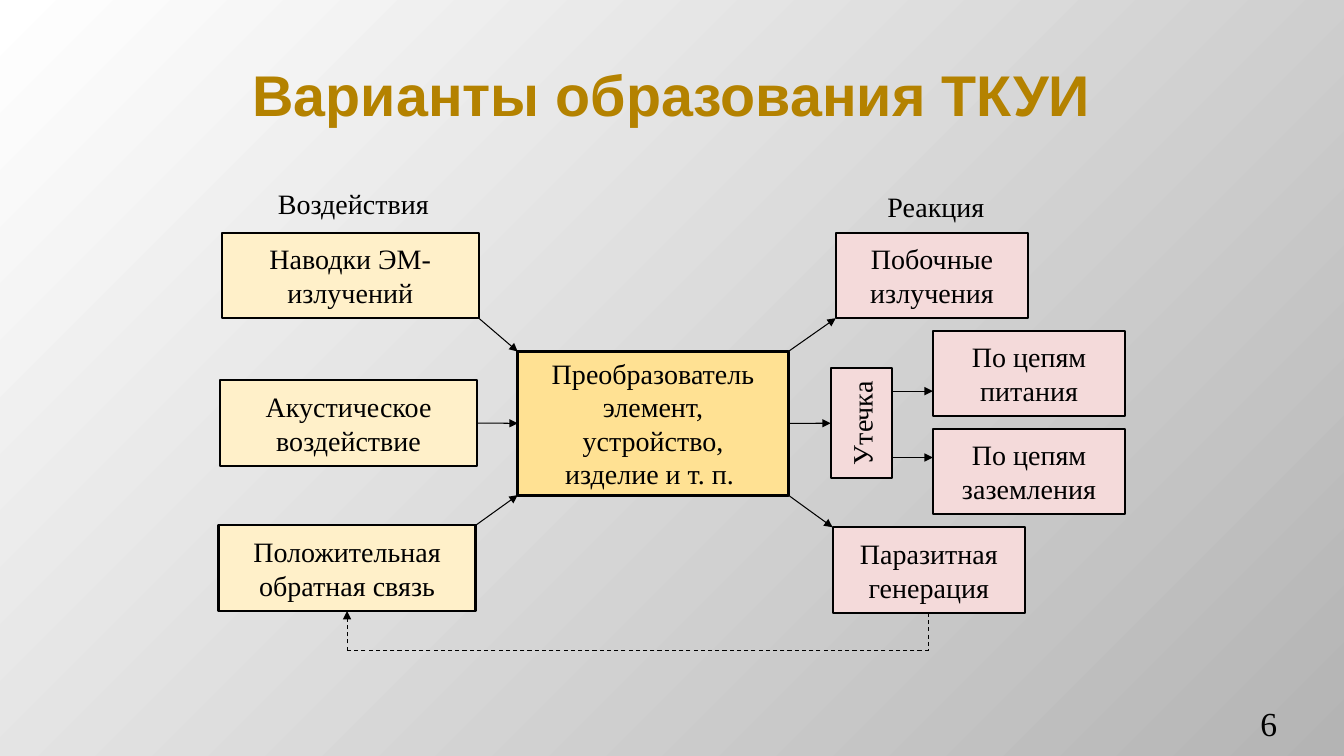
from dataclasses import dataclass

from lxml.etree import SubElement
from pptx import Presentation
from pptx.dml.color import RGBColor
from pptx.enum.dml import MSO_LINE
from pptx.enum.shapes import MSO_CONNECTOR, MSO_SHAPE
from pptx.enum.text import MSO_ANCHOR, PP_ALIGN
from pptx.oxml.ns import qn
from pptx.util import Pt


@dataclass(frozen=True)
class Theme:
    title_font: str = "Arial"
    body_font: str = "Times New Roman"
    title_size: float = 41
    number_size: float = 24
    body_size: float = 20
    title: str = "B48200"
    ink: str = "000000"
    influence: str = "FFF0C9"
    converter: str = "FFE193"
    reaction: str = "F4DADA"
    background: tuple = ("FFFFFF", "B4B4B4")
    box_line: float = 1.5
    converter_line: float = 2.25
    arrow_line: float = 0.75


THEME = Theme()

TITLE = "Варианты образования ТКУИ"
PAGE_NUMBER = "6"
HEADINGS = [("Воздействия", 160.6, 128.2, 34.6), ("Реакция", 576.7, 132.5, 30.2)]
HEADING_WIDTH = 183.6

BOX_HEIGHT = 61.2
INFLUENCE_SIZE = (183.6, BOX_HEIGHT)
REACTION_SIZE = (137.5, BOX_HEIGHT)

# name: (paragraphs, left, top)
INFLUENCES = {
    "pickup": (["Наводки ЭМ-излучений"], 158.4, 166.1),
    "acoustic": (["Акустическое воздействие"], 157.2, 271.6),
    "feedback": (["Положительная обратная связь"], 156.1, 375.3),
}
REACTIONS = {
    "emission": (["Побочные", "излучения"], 597, 166.1),
    "generation": (["Паразитная", "генерация"], 594.7, 376.6),
    "supply": (["По цепям", "питания"], 666.3, 236.2),
    "grounding": (["По цепям", "заземления"], 666.3, 306.2),
}
CONVERTER = ["Преобразователь", "элемент,", "устройство,", "изделие и т. п. "]
CONVERTER_AREA = (369.8, 251.1, 193.3, 102.6)
LEAK = ["Утечка"]
LEAK_AREA = (593.3, 262.9, 43.9, 78.8)
LEAK_ARROWS = {"supply": 279.4, "grounding": 326.8}
RETURN_TOP = 464.8

# Each end is a box and a place on its outline, as fractions of width and height.
ARROWS = [
    (("pickup", 1, 1), ("converter", 0, 0)),
    (("acoustic", 1, 0.5), ("converter", 0, 0.5)),
    (("feedback", 1, 0), ("converter", 0, 1)),
    (("converter", 1, 0), ("emission", 0, 1)),
    (("converter", 1, 0.5), ("leak", 0, 0.5)),
    (("converter", 1, 1), ("generation", 0, 0)),
]
SIDES = {(0.5, 0): 0, (0, 0.5): 1, (0.5, 1): 2, (1, 0.5): 3}


def color(value):
    return RGBColor.from_string(value)


def write(shape, lines, size=THEME.body_size, font=THEME.body_font, ink=THEME.ink,
          bold=False, align=PP_ALIGN.CENTER, anchor=MSO_ANCHOR.MIDDLE):
    frame = shape.text_frame
    frame.word_wrap = True
    frame.vertical_anchor = anchor
    for index, line in enumerate(lines):
        para = frame.add_paragraph() if index else frame.paragraphs[0]
        para.alignment = align
        span = para.add_run()
        span.text = line
        span.font.size = Pt(size)
        span.font.name = font
        span.font.bold = bold
        span.font.color.rgb = color(ink)


def add_label(page, area, lines, **style):
    box = page.shapes.add_textbox(*map(Pt, area))
    write(box, lines, **style)
    return box


def add_box(page, area, lines, fill, line_width=THEME.box_line):
    box = page.shapes.add_shape(MSO_SHAPE.RECTANGLE, *map(Pt, area))
    box.shadow.inherit = False
    box.fill.solid()
    box.fill.fore_color.rgb = color(fill)
    box.line.color.rgb = color(THEME.ink)
    box.line.width = Pt(line_width)
    write(box, lines)
    return box


def place(boxes, end):
    """Turn (box name, x fraction, y fraction) into a slide position."""
    name, across, down = end
    box = boxes[name]
    return box.left + int(box.width * across), box.top + int(box.height * down)


def add_link(page, start, finish, arrow=True, dashed=False):
    link = page.shapes.add_connector(MSO_CONNECTOR.STRAIGHT, *start, *finish)
    link.line.color.rgb = color(THEME.ink)
    link.line.width = Pt(THEME.arrow_line)
    if dashed:
        link.line.dash_style = MSO_LINE.DASH
    if arrow:
        SubElement(link.line._get_or_add_ln(), qn("a:tailEnd"), type="triangle")
    SubElement(link._element.spPr, qn("a:effectLst"))
    return link


def paint_background(page):
    fill = page.background.fill
    fill.gradient()
    fill.gradient_angle = 315
    for stop, value in zip(fill.gradient_stops, THEME.background):
        stop.color.rgb = color(value)


def add_boxes(page):
    boxes = {}
    for group, size, fill in ((INFLUENCES, INFLUENCE_SIZE, THEME.influence),
                              (REACTIONS, REACTION_SIZE, THEME.reaction)):
        for name, (lines, left, top) in group.items():
            boxes[name] = add_box(page, (left, top, *size), lines, fill)
    boxes["converter"] = add_box(page, CONVERTER_AREA, CONVERTER,
                                 THEME.converter, THEME.converter_line)
    leak = boxes["leak"] = add_box(page, LEAK_AREA, LEAK, THEME.reaction)
    leak.text_frame.margin_left = leak.text_frame.margin_right = Pt(3)
    leak.text_frame._txBody.bodyPr.set("vert", "vert270")
    return boxes


def add_arrows(page, boxes):
    for start, finish in ARROWS:
        link = add_link(page, place(boxes, start), place(boxes, finish))
        for end, connect in ((start, link.begin_connect), (finish, link.end_connect)):
            if end[1:] in SIDES:
                connect(boxes[end[0]], SIDES[end[1:]])

    leak_right = place(boxes, ("leak", 1, 0))[0]
    for name, top in LEAK_ARROWS.items():
        add_link(page, (leak_right, Pt(top)), (boxes[name].left, Pt(top)))


def add_return_path(page, boxes):
    source = place(boxes, ("generation", 0.5, 1))
    target = place(boxes, ("feedback", 0.5, 1))
    right_corner, left_corner = (source[0], Pt(RETURN_TOP)), (target[0], Pt(RETURN_TOP))
    down = add_link(page, source, right_corner, arrow=False, dashed=True)
    down.begin_connect(boxes["generation"], 2)
    add_link(page, right_corner, left_corner, arrow=False, dashed=True)
    up = add_link(page, left_corner, target, dashed=True)
    up.end_connect(boxes["feedback"], 2)


def main():
    deck = Presentation()
    deck.slide_width, deck.slide_height = Pt(960), Pt(540)
    page = deck.slides.add_slide(deck.slide_layouts[6])
    paint_background(page)

    add_label(page, (48, 21.6, 864, 90), [TITLE], size=THEME.title_size,
              font=THEME.title_font, ink=THEME.title, bold=True)
    number = add_label(page, (832.3, 505.4, 79.9, 28.8), [PAGE_NUMBER],
                       size=THEME.number_size, align=PP_ALIGN.RIGHT,
                       anchor=MSO_ANCHOR.BOTTOM)
    number.text_frame.margin_left = number.text_frame.margin_right = 0
    for text, left, top, height in HEADINGS:
        add_label(page, (left, top, HEADING_WIDTH, height), [text])

    boxes = add_boxes(page)
    add_arrows(page, boxes)
    add_return_path(page, boxes)
    deck.save("out.pptx")


if __name__ == "__main__":
    main()
